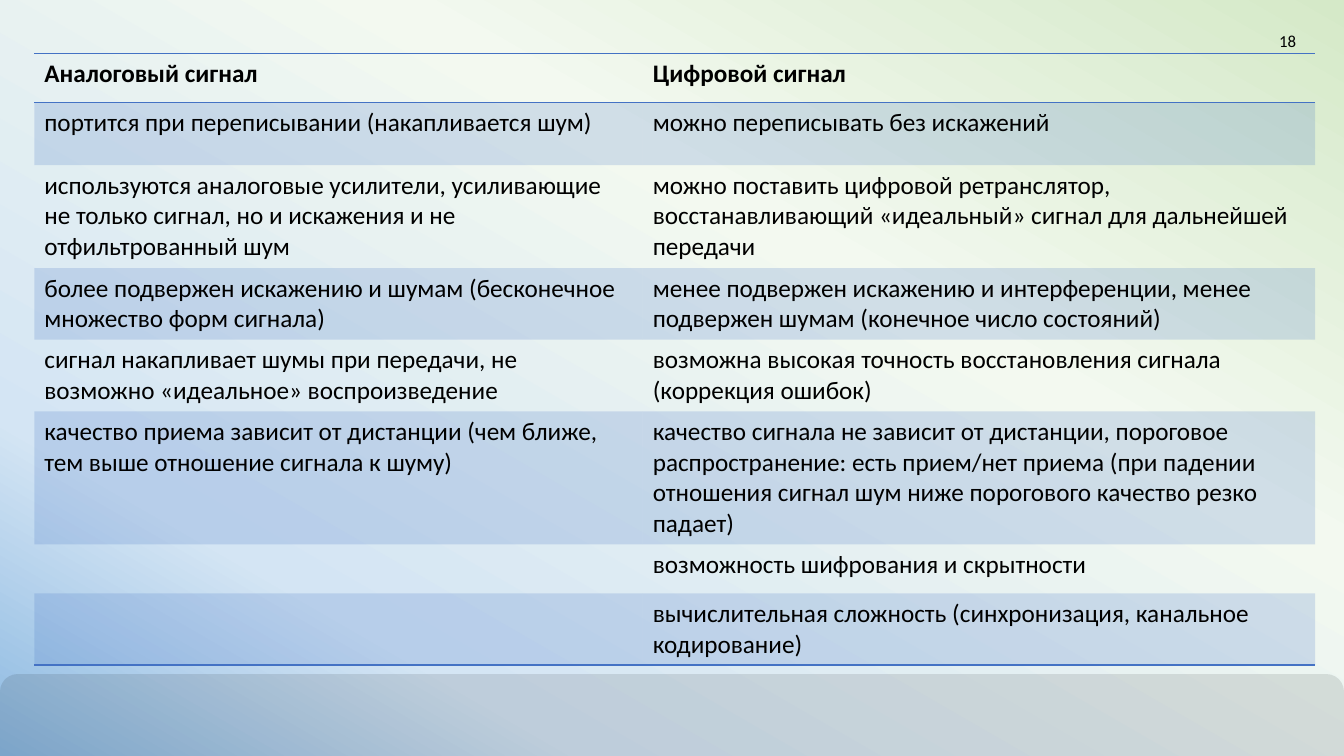
from pptx import Presentation
from pptx.dml.color import RGBColor
from pptx.enum.shapes import MSO_SHAPE as Shape
from pptx.enum.text import MSO_ANCHOR as Anchor, PP_ALIGN as Align
from pptx.oxml import parse_xml
from pptx.oxml.ns import nsdecls, qn
from pptx.util import Pt

BLACK = RGBColor(0x00, 0x00, 0x00)
BLUE = RGBColor(0x44, 0x72, 0xC4)
BACKGROUND_STOPS = [
    (0, RGBColor(0xD5, 0xE9, 0xC8)),
    (36, RGBColor(0xF3, 0xF9, 0xF0)),
    (78, RGBColor(0xD4, 0xE5, 0xF4)),
    (100, RGBColor(0x8B, 0xB8, 0xE1)),
]
BACKGROUND_ANGLE = 120
FONT = "Calibri"
PLAIN_TABLE_STYLE = "{2D5ABB26-0587-4C30-8999-92F81FD0307C}"

COLUMN_SHARES = [0.475, 0.525]
ROW_HEIGHTS = [35, 45, 73.5, 51, 51, 95, 35, 51]
SIGNAL_ROWS = [
    ("Аналоговый сигнал", "Цифровой сигнал"),
    ("портится при переписывании (накапливается шум)",
     "можно переписывать без искажений"),
    ("используются аналоговые усилители, усиливающие не только сигнал, "
     "но и искажения и не отфильтрованный шум",
     "можно поставить цифровой ретранслятор, восстанавливающий «идеальный» "
     "сигнал для дальнейшей передачи"),
    ("более подвержен искажению и шумам (бесконечное множество форм сигнала)",
     "менее подвержен искажению и интерференции, менее подвержен шумам "
     "(конечное число состояний)"),
    ("сигнал накапливает шумы при передачи, не возможно «идеальное» "
     "воспроизведение",
     "возможна высокая точность восстановления сигнала (коррекция ошибок)"),
    ("качество приема зависит от дистанции (чем ближе, тем выше отношение "
     "сигнала к шуму)",
     "качество сигнала не зависит от дистанции, пороговое распространение: "
     "есть прием/нет приема (при падении отношения сигнал шум ниже порогового "
     "качество резко падает)"),
    ("", "возможность шифрования и скрытности"),
    ("", "вычислительная сложность (синхронизация, канальное кодирование)"),
]


def set_gradient_background(slide):
    fill = slide.background.fill
    fill.gradient()
    gradient = slide.background._cSld.find(".//" + qn("a:gradFill"))
    stops = "".join(
        f'<a:gs pos="{position * 1000}"><a:srgbClr val="{color}"/></a:gs>'
        for position, color in BACKGROUND_STOPS)
    gradient.getparent().replace(gradient, parse_xml(
        f'<a:gradFill {nsdecls("a")} rotWithShape="1"><a:gsLst>{stops}</a:gsLst>'
        f'<a:lin ang="{BACKGROUND_ANGLE * 60000}" scaled="0"/></a:gradFill>'))


def fill_translucent(fill, properties, color, opacity):
    """Fill with a colour at the given opacity, in percent."""
    fill.solid()
    fill.fore_color.rgb = color
    color_element = properties.find(qn("a:solidFill")).find(qn("a:srgbClr"))
    color_element.append(parse_xml(
        f'<a:alpha {nsdecls("a")} val="{opacity * 1000}"/>'))


def format_run(run, size, bold=False):
    run.font.name = FONT
    run.font.size = Pt(size)
    run.font.bold = bold
    run.font.color.rgb = BLACK


def add_footer_band(slide, left, top, width, height):
    band = slide.shapes.add_shape(
        Shape.ROUNDED_RECTANGLE, Pt(left), Pt(top), Pt(width), Pt(height))
    band.shadow.inherit = False
    band.line.fill.background()
    fill_translucent(band.fill, band._element.spPr, BLACK, 10)


def add_cell_borders(cell, edges):
    """Draw the named edges, given in schema order (T before B)."""
    properties = cell._tc.get_or_add_tcPr()
    for index, edge in enumerate(edges):
        properties.insert(index, parse_xml(
            f'<a:ln{edge} {nsdecls("a")} w="{Pt(1)}"><a:solidFill>'
            f'<a:srgbClr val="{BLUE}"/></a:solidFill></a:ln{edge}>'))


def add_signal_table(slide, left, top, width):
    frame = slide.shapes.add_table(
        len(SIGNAL_ROWS), len(COLUMN_SHARES),
        Pt(left), Pt(top), Pt(width), Pt(sum(ROW_HEIGHTS)))
    table = frame.table
    table.first_row = table.horz_banding = False
    table._tbl.tblPr.find(qn("a:tableStyleId")).text = PLAIN_TABLE_STYLE
    for column, share in zip(table.columns, COLUMN_SHARES):
        column.width = Pt(width * share)

    last_row = len(SIGNAL_ROWS) - 1
    row_edges = {0: "TB", last_row: "B"}
    for row_index, texts in enumerate(SIGNAL_ROWS):
        table.rows[row_index].height = Pt(ROW_HEIGHTS[row_index])
        for column_index, text in enumerate(texts):
            cell = table.cell(row_index, column_index)
            if text:
                cell.text_frame.text = text
                format_run(cell.text_frame.paragraphs[0].runs[0], 18,
                           bold=row_index == 0)
            if row_index % 2:
                fill_translucent(
                    cell.fill, cell._tc.get_or_add_tcPr(), BLUE, 20)
            else:
                cell.fill.background()
            add_cell_borders(cell, row_edges.get(row_index, ""))


def add_slide_number(slide, left, top, width, height):
    box = slide.shapes.add_textbox(Pt(left), Pt(top), Pt(width), Pt(height))
    text_frame = box.text_frame
    text_frame.word_wrap = True
    text_frame.vertical_anchor = Anchor.MIDDLE
    text_frame.text = "18"
    paragraph = text_frame.paragraphs[0]
    paragraph.alignment = Align.RIGHT
    format_run(paragraph.runs[0], 12)


def main():
    presentation = Presentation()
    presentation.slide_width = Pt(960)
    presentation.slide_height = Pt(540)
    slide = presentation.slides.add_slide(presentation.slide_layouts[6])
    set_gradient_background(slide)
    add_footer_band(slide, 0, 481.5, 960, 75)
    add_signal_table(slide, 24.5, 38, 915)
    add_slide_number(slide, 717, 14.5, 216, 29)
    presentation.save("out.pptx")


if __name__ == "__main__":
    main()
